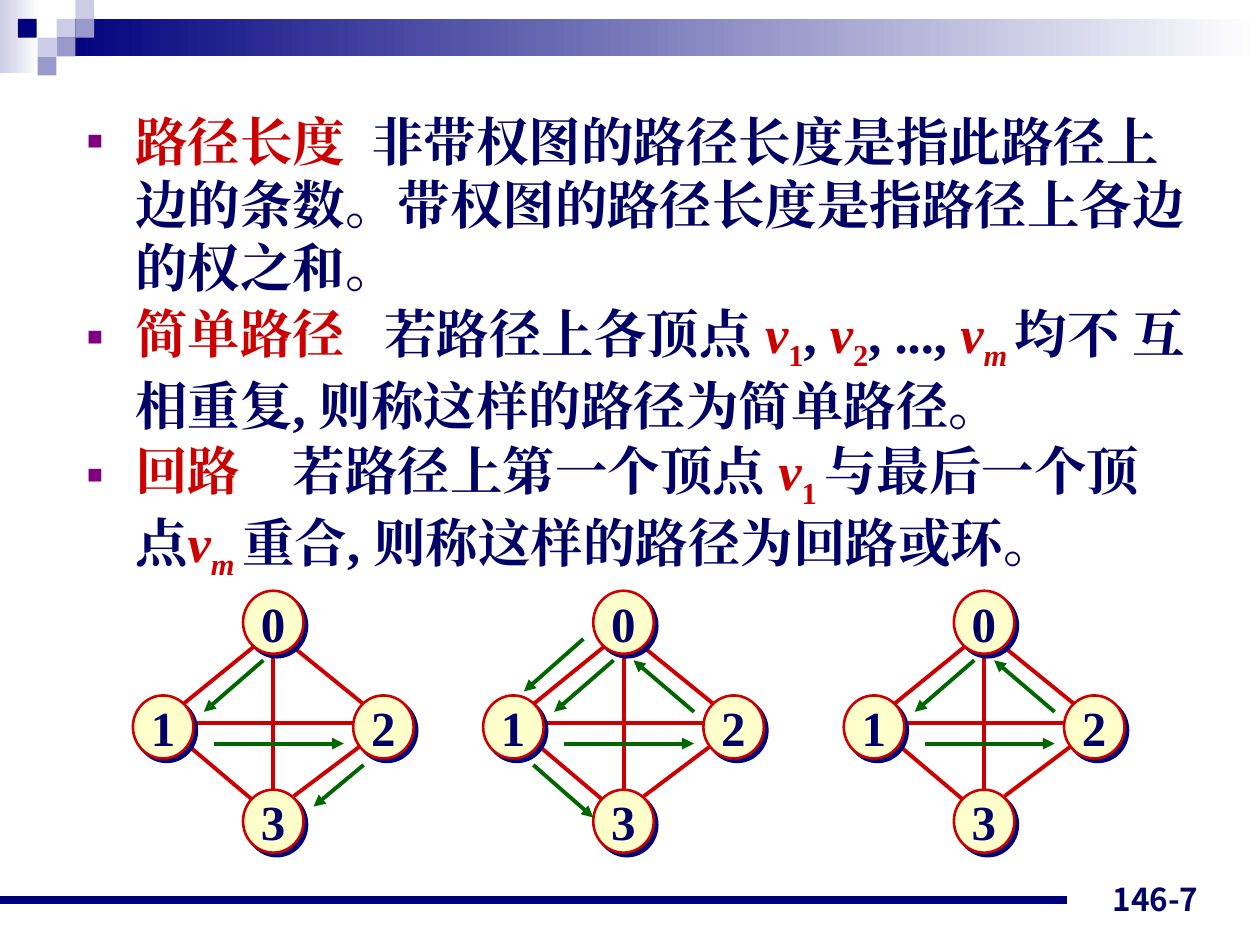
from lxml import etree
from pptx import Presentation
from pptx.dml.color import RGBColor
from pptx.enum import shapes, text
from pptx.oxml import ns
from pptx.util import Cm, Pt

COLORS = {"navy": "00007D", "ink": "000066", "red": "CC0000", "green": "006600",
          "cream": "FFFFCC", "pale": "CCCCE6", "mid": "9999CC", "white": "FFFFFF",
          "purple": "800080"}
SERIF = "Times New Roman"
SANS = "Noto Sans CJK JP"


def add_line(start, end, color, width, arrow=False):
    """Draw a straight line between two points in cm."""
    line = page.shapes.add_connector(shapes.MSO_CONNECTOR.STRAIGHT,
                                     *[Cm(value) for value in (*start, *end)])
    line.line.color.rgb = RGBColor.from_string(COLORS[color])
    line.line.width = Pt(width)
    if arrow:
        etree.SubElement(line.line._get_or_add_ln(), ns.qn("a:tailEnd"), type="triangle")
    etree.SubElement(line._element.spPr, ns.qn("a:effectLst"))


def add_span(para, words, size, color, font=SERIF, italic=False, sub=False):
    span = para.add_run()
    span.text = words
    span.font.size = Pt(size)
    span.font.bold = True
    span.font.italic = italic
    span.font.name = font
    span.font.color.rgb = RGBColor.from_string(COLORS[color])
    props = span.font._element
    etree.SubElement(props, ns.qn("a:ea"), typeface=font)
    if sub:
        props.set("baseline", "-25000")


deck = Presentation()
deck.slide_width, deck.slide_height = Cm(25.4), Cm(19.05)
page = deck.slides.add_slide(deck.slide_layouts[1])
page.shapes.title._element.getparent().remove(page.shapes.title._element)
body = page.placeholders[1]

# Header bands and mosaic
bands = [(0, 0, 0.79, 1.47, "pale"), (1.14, 0.38, 24.26, 0.76, "navy")]
tiles = [(1.14, 0.38, "pale"), (1.52, 0, "pale"), (1.52, 0.38, "mid"), (0.76, 0.76, "pale"),
         (0.36, 0.38, "navy"), (1.14, 0.76, "mid"), (0.76, 1.14, "mid")]
blocks = bands + [(left, top, 0.38, 0.38, color) for left, top, color in tiles]
for index, (left, top, width, height, color) in enumerate(blocks):
    block = page.shapes.add_shape(shapes.MSO_SHAPE.RECTANGLE,
                                  Cm(left), Cm(top), Cm(width), Cm(height))
    block.shadow.inherit = False
    block.line.fill.background()
    if index < len(bands):
        block.fill.gradient()
        block.fill.gradient_angle = 0
        for stop, shade in zip(block.fill.gradient_stops, (color, "white")):
            stop.color.rgb = RGBColor.from_string(COLORS[shade])
        block.fill.gradient_stops[0].position = 0
        block.fill.gradient_stops[1].position = 1
    else:
        block.fill.solid()
        block.fill.fore_color.rgb = RGBColor.from_string(COLORS[color])

# Footer
add_line((0, 18.14), (21.51, 18.14), "navy", 4.5)
footer = page.shapes.add_textbox(Cm(18.49), Cm(17.35), Cm(5.92), Cm(1.27))
footer.text_frame.word_wrap = True
footer.text_frame.vertical_anchor = text.MSO_ANCHOR.BOTTOM
footer.text_frame.paragraphs[0].alignment = text.PP_ALIGN.RIGHT
add_span(footer.text_frame.paragraphs[0], "146-7", 18, "ink", SANS)

# Definitions: (words, style), where v is a variable, s and i are subscripts
definitions = [
    [("路径长度", "term"),
     ("  非带权图的路径长度是指此路径上边的条数。带权图的路径长度是指路径上各边的权之和。", "")],
    [("简单路径", "term"), ("   若路径上各顶点 ", ""), ("v", "v"), ("1", "s"), (", ", ""),
     ("v", "v"), ("2", "s"), (", ..., ", ""), ("v", "v"), ("m ", "i"),
     ("均不 互相重复, 则称这样的路径为简单路径。", "")],
    [("回路", "term"), ("    若路径上第一个顶点 ", ""), ("v", "v"), ("1 ", "s"),
     ("与最后一个顶点", ""), ("v", "v"), ("m ", "i"), ("重合, 则称这样的路径为回路或环。", "")],
]
body.left, body.top, body.width, body.height = Cm(1.5), Cm(2.08), Cm(22.66), Cm(9.96)
frame = body.text_frame
frame.auto_size = text.MSO_AUTO_SIZE.NONE
for index, definition in enumerate(definitions):
    para = frame.add_paragraph() if index else frame.paragraphs[0]
    para.space_before = Pt(1.5 if index else 0)
    props = para._p.get_or_add_pPr()
    props.set("marL", str(Cm(0.97)))
    props.set("indent", str(Cm(-0.97)))
    bullet_color = etree.SubElement(props, ns.qn("a:buClr"))
    etree.SubElement(bullet_color, ns.qn("a:srgbClr"), val=COLORS["purple"])
    etree.SubElement(props, ns.qn("a:buSzPct"), val="50000")
    etree.SubElement(props, ns.qn("a:buChar"), char="■")
    for words, style in definition:
        add_span(para, words, 30, "red" if style else "ink",
                 italic=style in ("v", "i"), sub=style in ("s", "i"))

# Graphs: x is measured from the graph's centre line
nodes = [(0, 12.55), (-2.22, 14.66), (2.22, 14.66), (0, 16.56)]
edges = [((-2.01, 14.78), (0, 16.48)), ((0.2, 12.88), (2.01, 14.35)),
         ((1.82, 14.99), (0.41, 16.05)), ((-0.2, 12.88), (-2.01, 14.35)),
         ((-1.82, 14.58), (1.82, 14.58)), ((0, 12.95), (0, 16.69))]
steps = {"0-1": ((-0.2, 13.31), (-1.4, 14.35)), "1-2": ((-1.2, 14.99), (1.42, 14.99)),
         "2-3": ((1.82, 15.42), (0.81, 16.26)), "2-0": ((1.42, 14.35), (0.2, 13.31)),
         "0-1 again": ((-0.81, 12.88), (-2.01, 13.94)),
         "1-3": ((-1.82, 15.42), (-0.61, 16.48))}
graphs = [(5.51, ["0-1", "1-2", "2-3"]),
          (12.57, ["0-1", "1-2", "0-1 again", "2-0", "1-3"]),
          (19.84, ["0-1", "1-2", "2-0"])]
for center, walk in graphs:
    for (x1, y1), (x2, y2) in edges:
        add_line((center + x1, y1), (center + x2, y2), "red", 2.25)
    for number, (x, y) in enumerate(nodes):
        node = page.shapes.add_shape(shapes.MSO_SHAPE.OVAL, Cm(center + x - 0.61),
                                     Cm(y - 0.64), Cm(1.22), Cm(1.27))
        node.fill.solid()
        node.fill.fore_color.rgb = RGBColor.from_string(COLORS["cream"])
        node.line.color.rgb = RGBColor.from_string(COLORS["red"])
        node.line.width = Pt(1.5)
        node.shadow.inherit = False
        effects = node._element.spPr.find(ns.qn("a:effectLst"))
        shadow = etree.SubElement(effects, ns.qn("a:outerShdw"), dist=str(Pt(2.8)),
                                  dir="2700000", algn="ctr", rotWithShape="0")
        etree.SubElement(shadow, ns.qn("a:srgbClr"), val=COLORS["navy"])
        label = page.shapes.add_textbox(Cm(center + x - 0.5), Cm(y - 0.72), Cm(1), Cm(1.45))
        label.text_frame.word_wrap = False
        add_span(label.text_frame.paragraphs[0], str(number), 28, "ink")
    for step in walk:
        (x1, y1), (x2, y2) = steps[step]
        add_line((center + x1, y1), (center + x2, y2), "green", 2.25, arrow=True)

deck.save("out.pptx")
